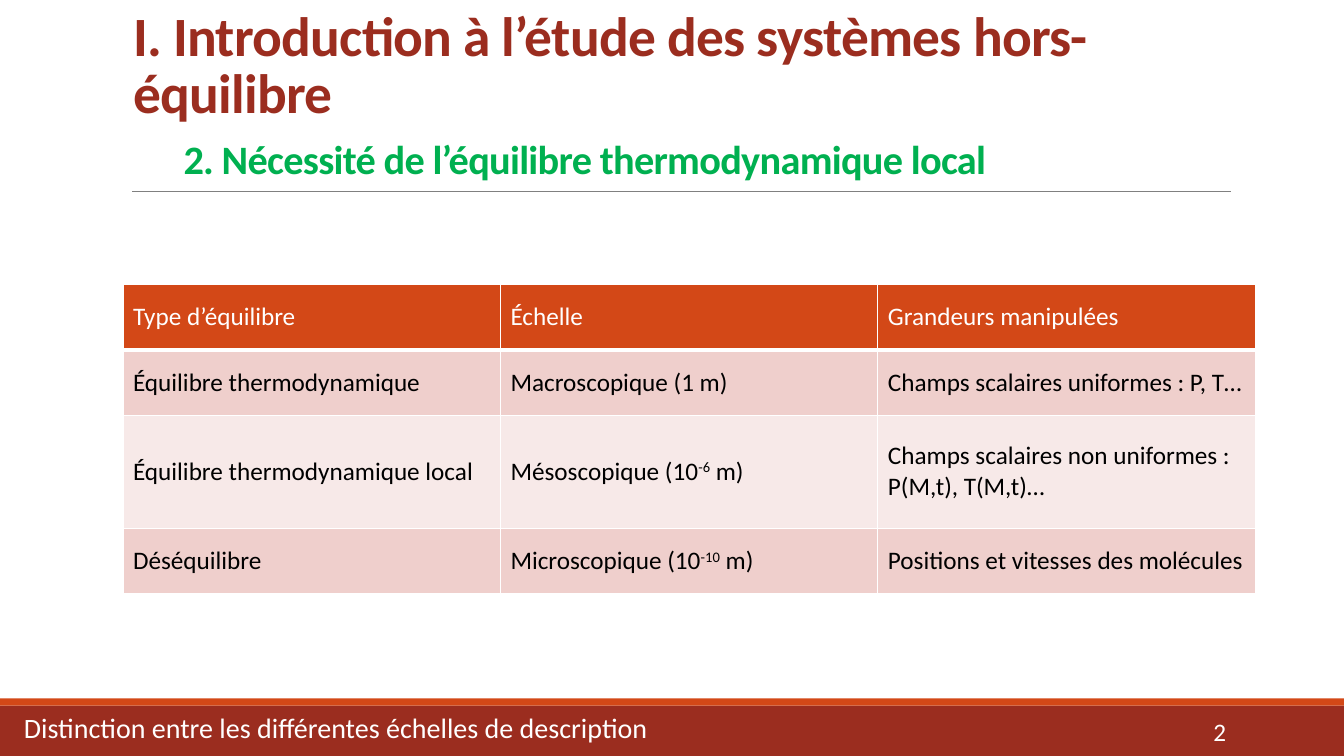
from lxml.etree import SubElement
from pptx import Presentation
from pptx.dml.color import RGBColor
from pptx.enum.shapes import MSO_CONNECTOR, MSO_SHAPE
from pptx.enum.text import MSO_ANCHOR, MSO_AUTO_SIZE, PP_ALIGN
from pptx.oxml.ns import qn
from pptx.util import Inches, Pt

RED, ORANGE, GREEN, WHITE, BLACK = "9B2D1F", "D34817", "00B050", "FFFFFF", "000000"
GREY, DARK_GREY, BAND, LIGHT_BAND = "808080", "404040", "EFCFCC", "F7E9E8"

HEADER = ["Type d’équilibre", "Échelle", "Grandeurs manipulées"]
# A cell given as a tuple holds the text before, the exponent and the text after.
ROWS = [
    HEADER,
    ["Équilibre thermodynamique", "Macroscopique (1 m)", "Champs scalaires uniformes : P, T…"],
    ["Équilibre thermodynamique local", ("Mésoscopique (10", "-6", " m)"),
     "Champs scalaires non uniformes : P(M,t), T(M,t)…"],
    ["Déséquilibre", ("Microscopique (10", "-10", " m)"), "Positions et vitesses des molécules"],
]
ROW_HEIGHTS = [0.65, 0.65, 1.12, 0.65]
ROW_FILLS = [ORANGE, BAND, LIGHT_BAND, BAND]


def rgb(color):
    return RGBColor.from_string(color)


def apply(target, **values):
    for name, value in values.items():
        setattr(target, name, value)


class SlideBuilder:
    font_name = "Calibri"

    def __init__(self, slide):
        self.slide = slide

    def span(self, para, text, size, color, bold=False, **attributes):
        """Add a run; attributes are raw run properties such as spc or baseline."""
        run = para.add_run()
        run.text = text
        apply(run.font, name=self.font_name, size=Pt(size), bold=bold)
        run.font.color.rgb = rgb(color)
        for name, value in attributes.items():
            run._r.get_or_add_rPr().set(name, str(value))

    def bar(self, left, top, width, height, color):
        shape = self.slide.shapes.add_shape(
            MSO_SHAPE.RECTANGLE, *map(Inches, (left, top, width, height)))
        shape.shadow.inherit = False
        shape.fill.solid()
        shape.fill.fore_color.rgb = rgb(color)
        shape.line.fill.background()

    def rule(self, left, right, y, color, width):
        line = self.slide.shapes.add_connector(
            MSO_CONNECTOR.STRAIGHT, *map(Inches, (left, y, right, y)))
        line.line.color.rgb = rgb(color)
        line.line.width = Pt(width)
        SubElement(line._element.spPr, qn("a:effectLst"))

    def title(self, left, top, width, height, heading, subheading):
        box = self.slide.shapes.title
        apply(box, left=Inches(left), top=Inches(top), width=Inches(width), height=Inches(height))
        apply(box.text_frame, word_wrap=True, auto_size=MSO_AUTO_SIZE.NONE,
              vertical_anchor=MSO_ANCHOR.BOTTOM)
        para = box.text_frame.paragraphs[0]
        apply(para, alignment=PP_ALIGN.LEFT, line_spacing=0.85, space_before=Pt(0))
        self.span(para, heading, 39.6, RED, True, spc=-50)
        para.add_line_break()
        self.span(para, "\t", 43.2, DARK_GREY, spc=-50)
        self.span(para, subheading, 28.8, GREEN, True, spc=-50)

    def text(self, left, top, width, height, text, size, anchor=MSO_ANCHOR.TOP, **formats):
        box = self.slide.shapes.add_textbox(*map(Inches, (left, top, width, height)))
        apply(box.text_frame, word_wrap=True, vertical_anchor=anchor)
        para = box.text_frame.paragraphs[0]
        apply(para, **formats)
        self.span(para, text, size, WHITE)
        return para

    def bullet(self, para, char, color, indent):
        properties = para._p.get_or_add_pPr()
        properties.set("marL", str(Inches(indent)))
        properties.set("indent", str(-Inches(indent)))
        SubElement(SubElement(properties, qn("a:buClr")), qn("a:srgbClr"), val=color)
        SubElement(properties, qn("a:buChar"), char=char)

    def borders(self, cell, bottom_width):
        properties = cell._tc.get_or_add_tcPr()
        widths = {"a:lnL": 1, "a:lnR": 1, "a:lnT": 1, "a:lnB": bottom_width}
        for position, (tag, width) in enumerate(widths.items()):
            line = SubElement(properties, qn(tag), w=str(Pt(width)))
            SubElement(SubElement(line, qn("a:solidFill")), qn("a:srgbClr"), val=WHITE)
            properties.insert(position, line)

    def table(self, left, top, width):
        frame = self.slide.shapes.add_table(
            len(ROWS), len(HEADER), *map(Inches, (left, top, width, sum(ROW_HEIGHTS))))
        table = frame.table
        apply(table, first_row=False, horz_banding=False)
        for row_index, texts in enumerate(ROWS):
            table.rows[row_index].height = Inches(ROW_HEIGHTS[row_index])
            is_header = row_index == 0
            for column_index, content in enumerate(texts):
                cell = table.cell(row_index, column_index)
                cell.vertical_anchor = MSO_ANCHOR.MIDDLE
                cell.fill.solid()
                cell.fill.fore_color.rgb = rgb(ROW_FILLS[row_index])
                self.borders(cell, 3 if is_header else 1)
                parts = (content,) if isinstance(content, str) else content
                for part_index, part in enumerate(parts):
                    raised = {"baseline": 30000} if part_index == 1 else {}
                    self.span(cell.text_frame.paragraphs[0], part, 18,
                              WHITE if is_header else BLACK, **raised)


def main():
    deck = Presentation()
    apply(deck, slide_width=Inches(13.33), slide_height=Inches(7.5))
    page = SlideBuilder(deck.slides.add_slide(deck.slide_layouts[5]))
    page.bar(0, 7, 13.33, 0.5, RED)
    page.bar(0, 6.93, 13.33, 0.07, ORANGE)
    page.rule(1.31, 12.21, 1.9, GREY, 0.5)
    page.text(10.83, 7.06, 1.43, 0.4, "2", 18, MSO_ANCHOR.MIDDLE, alignment=PP_ALIGN.RIGHT)
    page.table(1.22, 2.82, 11.23)
    page.title(1.22, 0.31, 11.23, 1.59, "I. Introduction à l’étude des systèmes hors-équilibre",
               "2. Nécessité de l’équilibre thermodynamique local")
    caption = page.text(0, 7.04, 11.81, 0.46,
                        "Distinction entre les différentes échelles de description", 20,
                        line_spacing=0.9, space_after=Pt(2))
    page.bullet(caption, " ", ORANGE, 0.1)
    deck.save("out.pptx")


if __name__ == "__main__":
    main()
